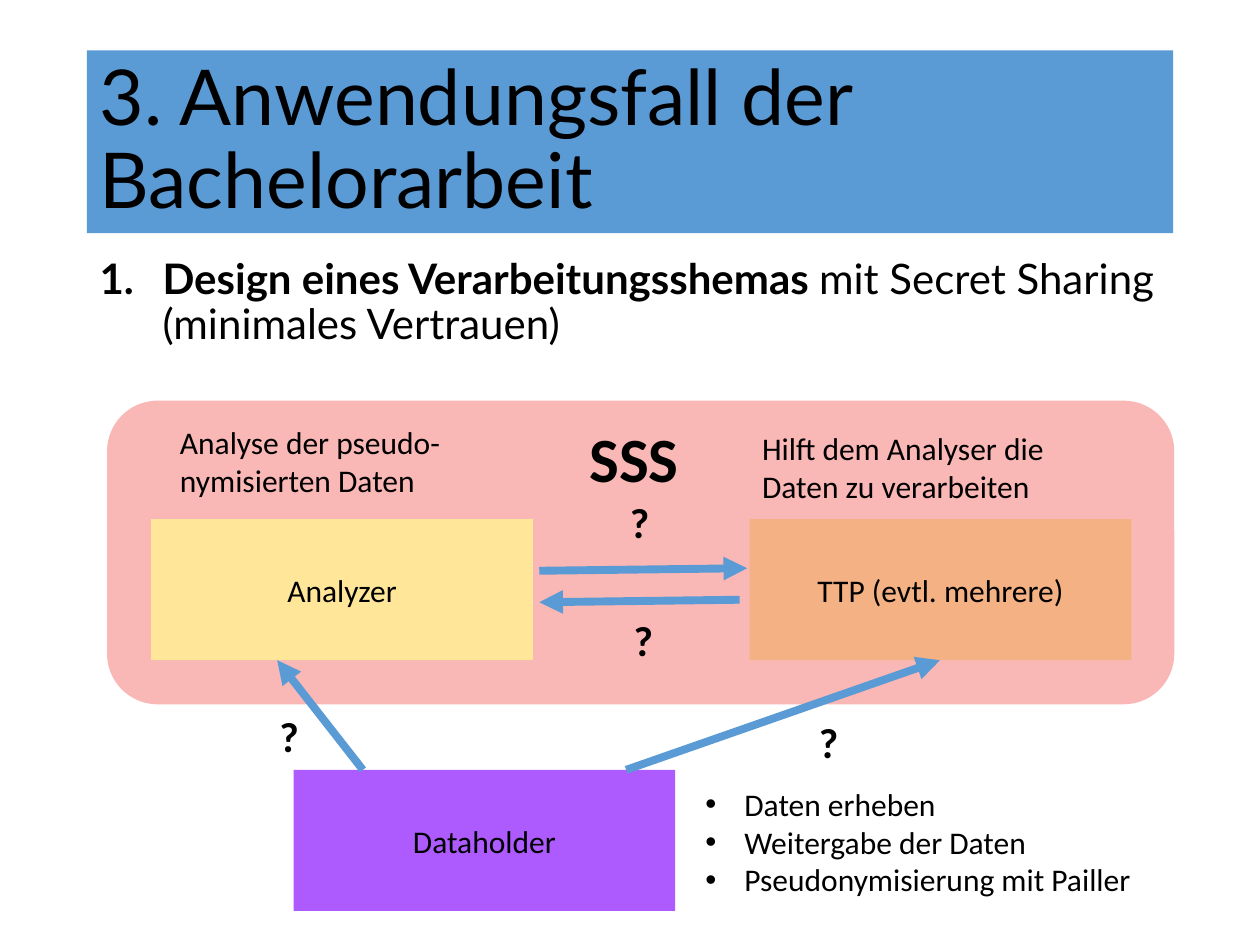
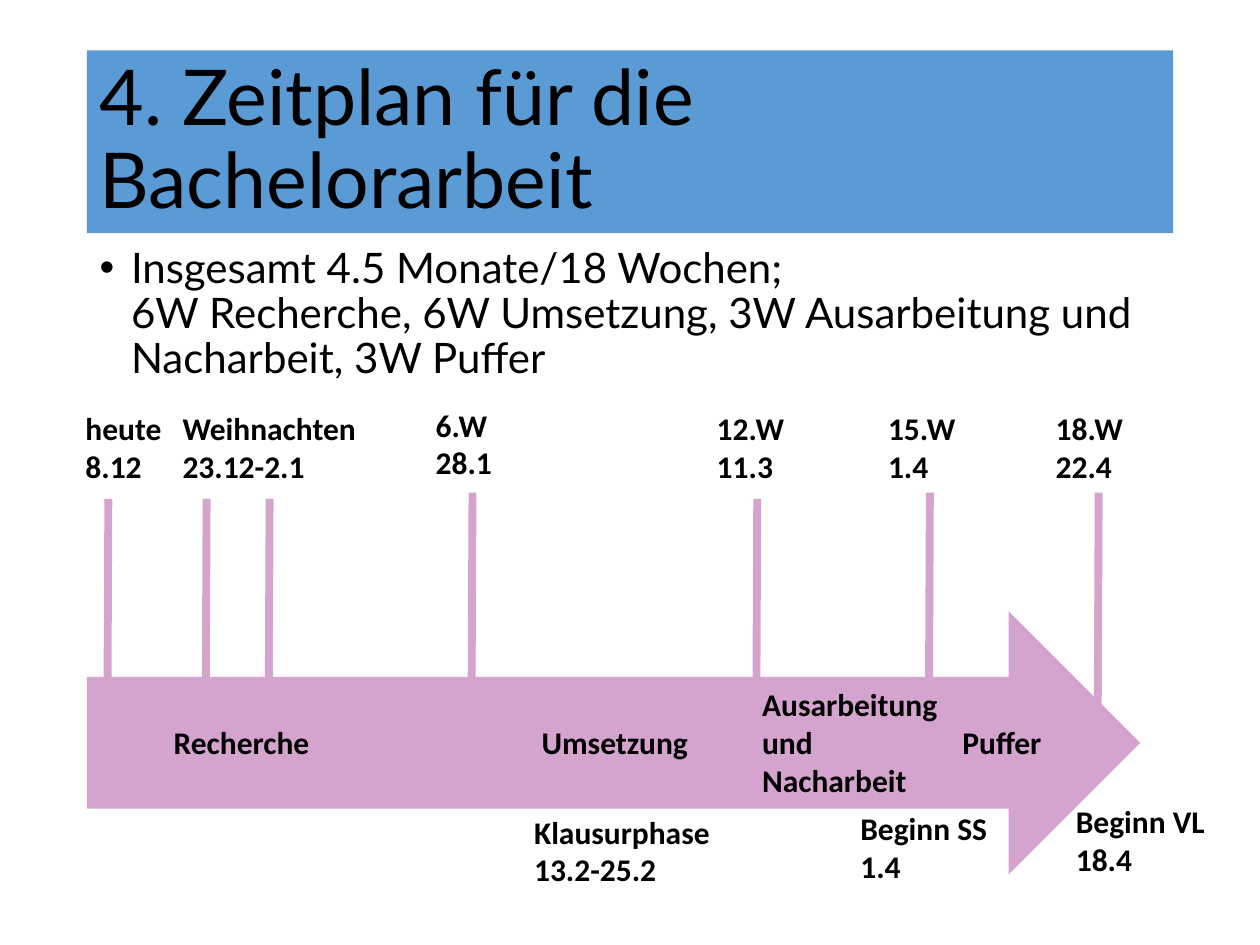
"""Build two thesis slides: the processing scheme and the schedule."""
from typing import NamedTuple

from lxml.etree import SubElement
from pptx import Presentation
from pptx.dml.color import RGBColor
from pptx.enum.shapes import MSO_CONNECTOR, MSO_SHAPE
from pptx.enum.text import MSO_ANCHOR, MSO_AUTO_SIZE, PP_ALIGN
from pptx.oxml.ns import qn
from pptx.presentation import Presentation as Deck
from pptx.shapes.autoshape import Shape
from pptx.slide import Slide
from pptx.text.text import _Paragraph as Paragraph
from pptx.util import Inches, Pt

BLACK = RGBColor(0x00, 0x00, 0x00)
BLUE = RGBColor(0x5B, 0x9B, 0xD5)
PINK = RGBColor(0xF9, 0xB7, 0xB5)
YELLOW = RGBColor(0xFF, 0xE6, 0x99)
ORANGE = RGBColor(0xF4, 0xB1, 0x83)
PURPLE = RGBColor(0xAD, 0x5B, 0xFF)
MAUVE = RGBColor(0xD4, 0xA4, 0xCE)
HEADING_FONT = "Lato"
LABEL_FONT = "Calibri"
MARGIN, CONTENT_WIDTH = 0.69, 8.62
TICK_HEIGHT, TICK_LEAN = 2.27, 0.01


class Party(NamedTuple):
    """A participant in the scheme."""
    name: str
    left: float
    top: float
    color: RGBColor


class Label(NamedTuple):
    """A free text on a slide."""
    text: str
    left: float
    top: float
    width: float
    size: int = 18
    bold: bool = True


class Line(NamedTuple):
    """A straight line between two points."""
    start: tuple[float, float]
    end: tuple[float, float]


class Tick(NamedTuple):
    """A date mark above the timeline."""
    left: float
    top: float = 3.96


PARTIES = [
    Party("Analyzer", 1.2, 4.12, YELLOW),
    Party("TTP (evtl. mehrere)", 5.95, 4.12, ORANGE),
    Party("Dataholder", 2.33, 6.11, PURPLE),
]
DATA_FLOWS = [
    Line((2.88, 6.11), (2.2, 5.24)),
    Line((4.97, 6.11), (7.46, 5.24)),
    Line((4.28, 4.53), (5.93, 4.51)),
    Line((5.87, 4.76), (4.28, 4.78)),
]
SCHEME_LABELS = [
    Label("Analyse der pseudo-nymisierten Daten", 1.33, 3.31, 3.17, bold=False),
    Label("Hilft dem Analyser die Daten zu verarbeiten", 5.95, 3.36, 3.03, bold=False),
    Label("SSS", 4.58, 3.28, 1.37, 36),
]
QUESTION_SPOTS = [(4.9, 3.89), (4.93, 4.83), (2.12, 5.59), (6.4, 5.64)]
DUTIES = Label("Daten erheben\nWeitergabe der Daten\nPseudonymisierung mit Pailler",
               5.5, 6.18, 3.86, bold=False)
TICKS = [Tick(0.85), Tick(1.63), Tick(2.13), Tick(3.74, 3.91), Tick(6),
         Tick(7.37, 3.91), Tick(8.71, 3.91)]
SCHEDULE_LABELS = [
    Label("heute\n8.12", 0.58, 3.2, 1),
    Label("Weihnachten\n23.12-2.1", 1.35, 3.2, 1.65),
    Label("6.W\n28.1", 3.36, 3.17, 1.54),
    Label("12.W\n11.3", 5.59, 3.2, 1.54),
    Label("15.W\n1.4", 6.95, 3.2, 1.54),
    Label("18.W\n22.4", 8.28, 3.2, 1.54),
    Label("Recherche", 1.28, 5.69, 1.65),
    Label("Umsetzung", 4.2, 5.69, 1.65),
    Label("Ausarbeitung\nund\nNacharbeit", 5.95, 5.39, 1.65),
    Label("Puffer", 7.54, 5.69, 0.96),
    Label("Klausurphase\n13.2-25.2", 4.14, 6.4, 1.65),
    Label("Beginn SS\n1.4", 6.73, 6.37, 1.54),
    Label("Beginn VL\n18.4", 8.44, 6.32, 1.54),
]


def set_font(para: Paragraph, name: str, size: int, bold: bool | None = False) -> None:
    """Give a paragraph and its runs one font; None leaves the weight alone."""
    for font in (para.font, *(span.font for span in para.runs)):
        font.name = name
        font.size = Pt(size)
        font.color.rgb = BLACK
        if bold is not None:
            font.bold = bold


def set_bullet(para: Paragraph, indent: float, numbered: bool = False) -> None:
    """Add a hanging bullet or number to a paragraph without a font yet."""
    properties = para._p.get_or_add_pPr()
    properties.set("marL", str(Inches(indent)))
    properties.set("indent", str(-Inches(indent)))
    if numbered:
        SubElement(properties, qn("a:buFont"), typeface="+mj-lt")
        SubElement(properties, qn("a:buAutoNum"), type="arabicPeriod")
    else:
        SubElement(properties, qn("a:buFont"), typeface="Arial")
        SubElement(properties, qn("a:buChar"), char="•")


def place(shape: Shape, left: float, top: float, width: float, height: float) -> None:
    """Move and size a shape."""
    shape.left, shape.top = Inches(left), Inches(top)
    shape.width, shape.height = Inches(width), Inches(height)


def add_page(deck: Deck, title: str, body_top: float) -> tuple[Slide, Paragraph]:
    """Add a slide with a title band and return it with its body paragraph."""
    page = deck.slides.add_slide(deck.slide_layouts[1])
    band, body = page.shapes.title, page.placeholders[1]
    place(band, MARGIN, 0.4, CONTENT_WIDTH, 1.45)
    place(body, MARGIN, body_top, CONTENT_WIDTH, 4.76)
    band.fill.solid()
    band.fill.fore_color.rgb = BLUE
    band.text_frame.text = title
    band.text_frame.vertical_anchor = MSO_ANCHOR.MIDDLE
    for box in (band, body):
        box.text_frame.word_wrap = True
        box.text_frame.auto_size = MSO_AUTO_SIZE.NONE
        box.text_frame.paragraphs[0].line_spacing = 0.9
    heading = band.text_frame.paragraphs[0]
    heading.alignment = PP_ALIGN.LEFT
    set_font(heading, HEADING_FONT, 44)
    para = body.text_frame.paragraphs[0]
    para.space_before = Pt(10)
    return page, para


def add_panel(page: Slide, kind: MSO_SHAPE, left: float, top: float,
              width: float, height: float, color: RGBColor) -> Shape:
    """Add a flat filled shape without outline."""
    panel = page.shapes.add_shape(kind, Inches(left), Inches(top),
                                  Inches(width), Inches(height))
    panel.shadow.inherit = False
    panel.fill.solid()
    panel.fill.fore_color.rgb = color
    panel.line.fill.background()
    return panel


def add_party(page: Slide, party: Party) -> None:
    """Add a participant's box with its name centred."""
    box = add_panel(page, MSO_SHAPE.RECTANGLE, party.left, party.top,
                    3.03, 1.12, party.color)
    box.text_frame.text = party.name
    box.text_frame.vertical_anchor = MSO_ANCHOR.MIDDLE
    para = box.text_frame.paragraphs[0]
    para.alignment = PP_ALIGN.CENTER
    set_font(para, LABEL_FONT, 18)


def add_label(page: Slide, label: Label, bulleted: bool = False) -> None:
    """Add a text box with one paragraph per line of text."""
    lines = label.text.split("\n")
    height = 0.1 + len(lines) * label.size / 60
    box = page.shapes.add_textbox(Inches(label.left), Inches(label.top),
                                  Inches(label.width), Inches(height))
    box.text_frame.word_wrap = True
    box.text_frame.text = label.text
    for para in box.text_frame.paragraphs:
        if bulleted:
            set_bullet(para, 0.31)
        set_font(para, LABEL_FONT, label.size, label.bold)


def add_line(page: Slide, line: Line, color: RGBColor, arrow: bool = False) -> None:
    """Add a thick straight line, with an arrowhead at its end if wanted."""
    points = [Inches(value) for value in (*line.start, *line.end)]
    connector = page.shapes.add_connector(MSO_CONNECTOR.STRAIGHT, *points)
    connector.line.color.rgb = color
    connector.line.width = Pt(4.5)
    if arrow:
        SubElement(connector.line._get_or_add_ln(), qn("a:tailEnd"), type="triangle")
    SubElement(connector._element.spPr, qn("a:effectLst"))


def build_scheme(deck: Deck) -> None:
    """Build the slide on the processing scheme."""
    page, para = add_page(deck, "3. Anwendungsfall der Bachelorarbeit", 2)
    set_bullet(para, 0.5, numbered=True)
    para.add_run().text = "Design eines Verarbeitungsshemas "
    para.add_run().text = "mit Secret Sharing (minimales Vertrauen)"
    set_font(para, HEADING_FONT, 24, None)
    for span, bold in zip(para.runs, (True, False)):
        span.font.bold = bold
    add_panel(page, MSO_SHAPE.ROUNDED_RECTANGLE, 0.85, 3.18, 8.47, 2.41, PINK)
    for party in PARTIES:
        add_party(page, party)
    for flow in DATA_FLOWS:
        add_line(page, flow, BLUE, arrow=True)
    for label in SCHEME_LABELS:
        add_label(page, label)
    for left, top in QUESTION_SPOTS:
        add_label(page, Label("?", left, top, 0.27, 24))
    add_label(page, DUTIES, bulleted=True)


def build_schedule(deck: Deck) -> None:
    """Build the slide with the timeline."""
    page, para = add_page(deck, "4. Zeitplan für die Bachelorarbeit", 1.91)
    set_bullet(para, 0.25)
    para.add_run().text = "Insgesamt 4.5 Monate/18 Wochen;"
    para.add_line_break()
    para.add_run().text = ("6W Recherche, 6W Umsetzung, 3W Ausarbeitung und "
                           "Nacharbeit, 3W Puffer")
    set_font(para, HEADING_FONT, 24)
    add_panel(page, MSO_SHAPE.RIGHT_ARROW, MARGIN, 4.85, 8.36, 2.09, MAUVE)
    for tick in TICKS:
        add_line(page, Line((tick.left + TICK_LEAN, tick.top),
                            (tick.left, tick.top + TICK_HEIGHT)), MAUVE)
    for label in SCHEDULE_LABELS:
        add_label(page, label)


def main() -> None:
    """Create and save the deck."""
    deck = Presentation()
    deck.slide_width, deck.slide_height = Inches(10), Inches(7.5)
    build_scheme(deck)
    build_schedule(deck)
    deck.save("out.pptx")


if __name__ == "__main__":
    main()
